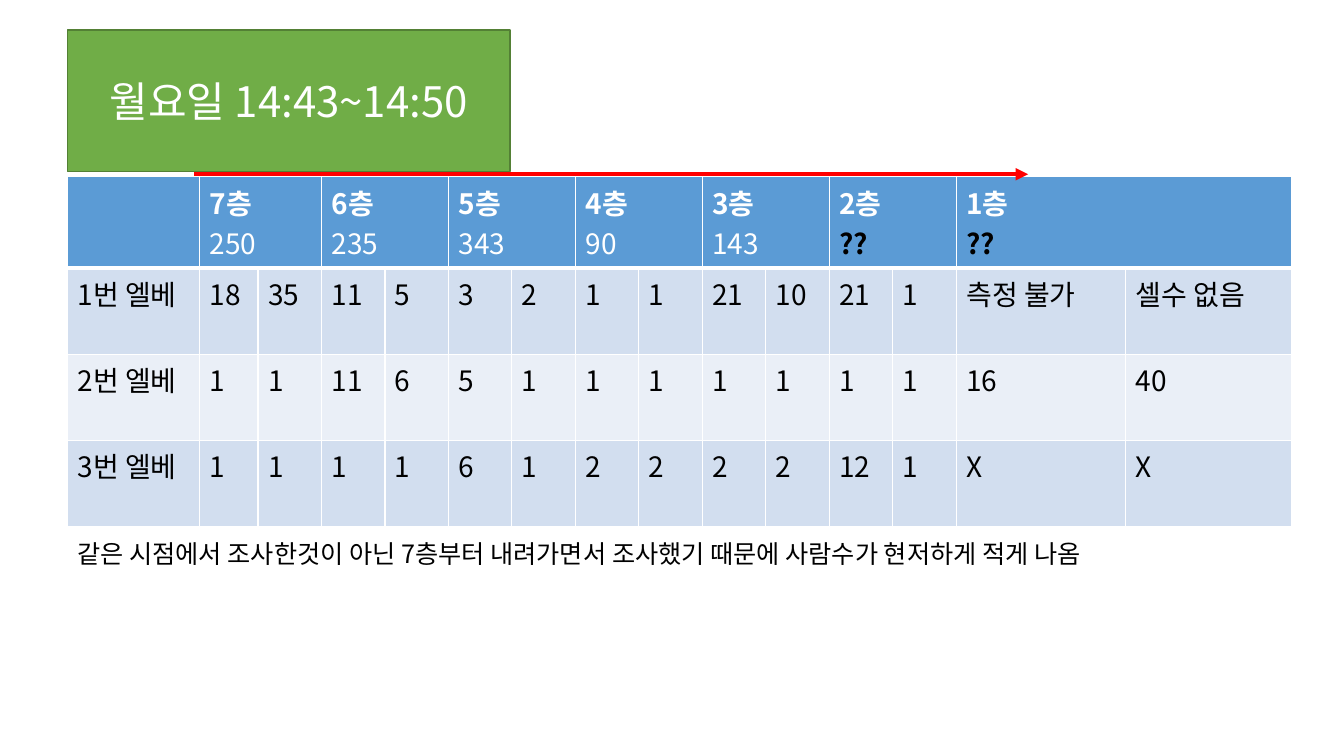
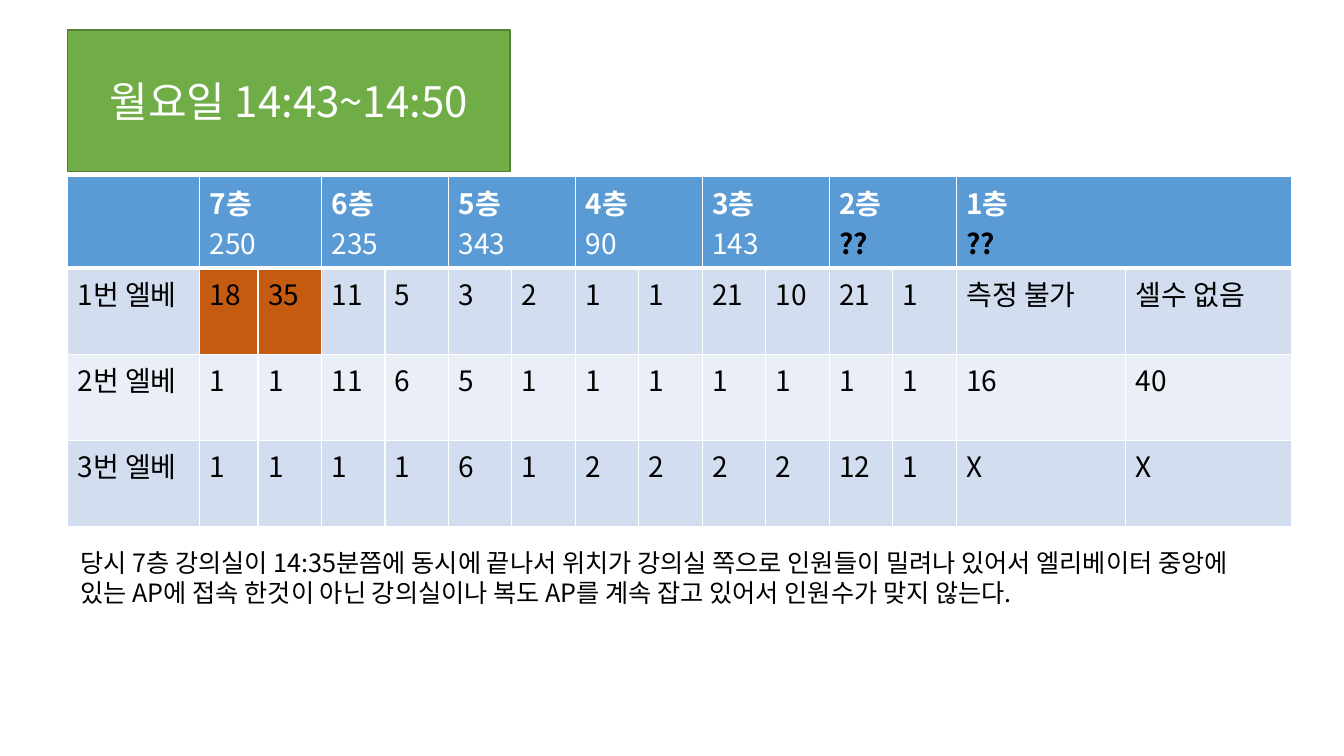
from dataclasses import dataclass

from lxml.etree import SubElement as Sub
from pptx import Presentation
from pptx.dml.color import RGBColor as RGB
from pptx.enum.shapes import MSO_CONNECTOR as Link
from pptx.enum.text import MSO_ANCHOR as Anchor, MSO_AUTO_SIZE as Auto, PP_ALIGN as Align
from pptx.oxml.ns import qn
from pptx.util import Cm, Pt


@dataclass(frozen=True)
class Theme:
    font: str = "Noto Sans CJK KR"
    white: str = "FFFFFF"
    black: str = "000000"
    green: str = "70AD47"
    edge: str = "538035"
    blue: str = "5B9BD5"
    bands: tuple = ("D2DEEF", "EAEFF7")
    mark: str = "C55A11"
    red: str = "FF0000"
    title: int = 30
    cell: int = 20
    note: int = 18


look = Theme()


def write(frame, text, size=look.cell, color=look.black, bold=False, align=Align.LEFT):
    """Add one paragraph, using the first one while it is empty."""
    para = frame.paragraphs[0]
    if para.runs:
        para = frame.add_paragraph()
    para.alignment = align
    run = para.add_run()
    run.text = text
    font = run.font
    font.name, font.size, font.bold = look.font, Pt(size), bold
    font.color.rgb = RGB.from_string(color)
    Sub(font._element, qn("a:ea"), typeface=look.font)


def paint(fill, color):
    fill.solid()
    fill.fore_color.rgb = RGB.from_string(color)


# Content
floors = [("7층", "250"), ("6층", "235"), ("5층", "343"), ("4층", "90"),
          ("3층", "143"), ("2층", "??"), ("1층", "??")]
rows = [
    ["1번 엘베", 18, 35, 11, 5, 3, 2, 1, 1, 21, 10, 21, 1, "측정 불가", "셀수 없음"],
    ["2번 엘베", 1, 1, 11, 6, 5, 1, 1, 1, 1, 1, 1, 1, 16, 40],
    ["3번 엘베", 1, 1, 1, 1, 6, 1, 2, 2, 2, 2, 12, 1, "X", "X"],
]
wide = [3.33, 1.47] + [1.6] * 11 + [4.27, 4.17]
high = 2.17
left = 1.7

# Per slide: note text, note box, marked cells, arrow shown
pages = [
    ("같은 시점에서 조사한것이 아닌 7층부터 내려가면서 조사했기 때문에 "
     "사람수가 현저하게 적게 나옴",
     (left, 13.44, 30.91, 1.02), set(), True),
    ("당시 7층 강의실이 14:35분쯤에 동시에 끝나서 위치가 강의실 쪽으로 인원들이 "
     "밀려나 있어서 엘리베이터 중앙에 있는 AP에 접속 한것이 아닌 강의실이나 복도 "
     "AP를 계속 잡고 있어서 인원수가 맞지 않는다.",
     (1.78, 13.67, 30.71, 1.8), {(1, 1), (1, 2)}, False),
]

deck = Presentation()
deck.slide_width, deck.slide_height = Cm(33.87), Cm(19.05)

for note, place, marks, arrow in pages:
    slide = deck.slides.add_slide(deck.slide_layouts[5])

    # Title band
    title = slide.shapes.title
    title.left, title.top, title.width, title.height = map(Cm, (left, 0.76, 11.15, 3.56))
    paint(title.fill, look.green)
    paint(title.line.fill, look.edge)
    title.line.width = Pt(1)
    title.text_frame.auto_size = Auto.NONE
    title.text_frame.vertical_anchor = Anchor.MIDDLE
    write(title.text_frame, "월요일 14:43~14:50", size=look.title,
          color=look.white, align=Align.CENTER)

    # Table grid
    table = slide.shapes.add_table(len(rows) + 1, len(wide), Cm(left), Cm(4.45),
                                   Cm(sum(wide)), Cm(high * 4)).table
    for col, width in zip(table.columns, wide):
        col.width = Cm(width)
    for row in table.rows:
        row.height = Cm(high)

    # Header: borders and fill, then one merged pair per floor
    for cell in table.rows[0].cells:
        props = cell._tc.get_or_add_tcPr()
        for side in "LRTB":
            line = Sub(props, qn(f"a:ln{side}"), w=str(Pt(3 if side == "B" else 1)))
            Sub(Sub(line, qn("a:solidFill")), qn("a:srgbClr"), val=look.white)
        paint(cell.fill, look.blue)
    for i, (floor, count) in enumerate(floors):
        cell = table.cell(0, 2 * i + 1)
        cell.merge(table.cell(0, 2 * i + 2))
        write(cell.text_frame, floor, color=look.white, bold=True)
        known = count != "??"
        write(cell.text_frame, count, color=look.white if known else look.black,
              bold=not known)

    # Body rows
    for r, row in enumerate(rows, 1):
        for c, value in enumerate(row):
            cell = table.cell(r, c)
            paint(cell.fill, look.mark if (r, c) in marks else look.bands[(r - 1) % 2])
            write(cell.text_frame, str(value))

    # Note below the table
    frame = slide.shapes.add_textbox(*map(Cm, place)).text_frame
    frame.word_wrap = True
    write(frame, note, size=look.note)

    # Arrow along the floors
    if arrow:
        line = slide.shapes.add_connector(Link.STRAIGHT, Cm(4.9), Cm(4.39), Cm(25.91), Cm(4.39))
        paint(line.line.fill, look.red)
        line.line.width = Pt(3)
        Sub(line.line._get_or_add_ln(), qn("a:tailEnd"), type="triangle")
        Sub(line._element.spPr, qn("a:effectLst"))

deck.save("out.pptx")
